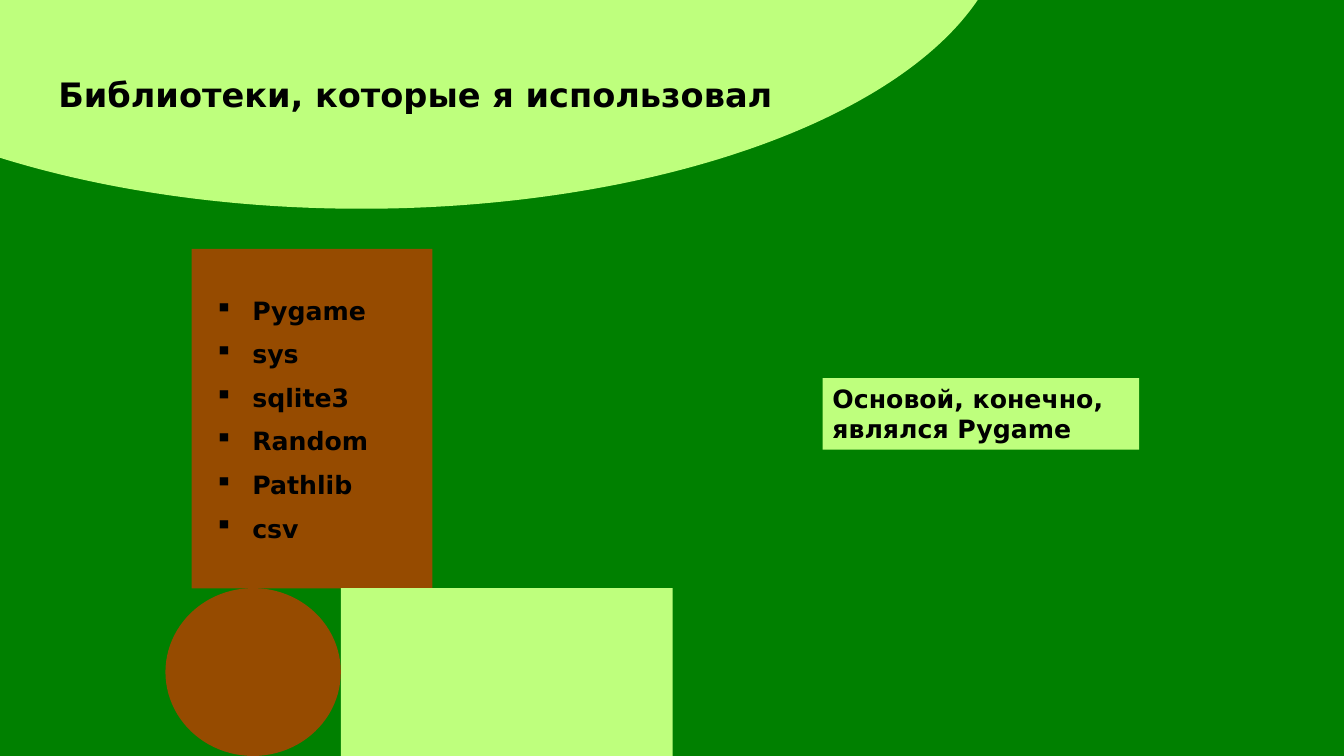
import dataclasses
import typing

import lxml.etree
import pptx
import pptx.dml.color
import pptx.enum.shapes
import pptx.enum.text
import pptx.oxml.ns
import pptx.util

Cm = pptx.util.Cm
Pt = pptx.util.Pt
MSO_SHAPE = pptx.enum.shapes.MSO_SHAPE
PP_ALIGN = pptx.enum.text.PP_ALIGN

COLORS = {"grass": "008000", "lime": "BEFF7D", "bark": "964B00", "ink": "000000"}
FONT = {"name": "DejaVu Sans", "bold": True}
PLAIN = {"alignment": PP_ALIGN.LEFT}
LIST_ITEM = {"alignment": PP_ALIGN.JUSTIFY, "line_spacing": 1.07, "space_after": Pt(8)}
INDENT = Cm(0.95)


@dataclasses.dataclass(frozen=True)
class Box:
    left: float
    top: float
    width: float
    height: float

    def lengths(self) -> list[pptx.util.Length]:
        return [Cm(v) for v in dataclasses.astuple(self)]


@dataclasses.dataclass(frozen=True)
class Block:
    box: Box
    kind: MSO_SHAPE
    color: str


@dataclasses.dataclass(frozen=True)
class Label:
    box: Box
    lines: tuple[str, ...]
    size: int
    fill: str = ""
    wrap: bool = True
    bullet: str = ""


BLOCKS = (
    Block(Box(4.83, 6.27, 6.07, 8.56), MSO_SHAPE.RECTANGLE, "bark"),
    Block(Box(-7.16, -9.73, 32.54, 14.99), MSO_SHAPE.OVAL, "lime"),
    Block(Box(8.59, 14.82, 8.36, 4.23), MSO_SHAPE.RECTANGLE, "lime"),
    Block(Box(4.17, 14.82, 4.42, 4.23), MSO_SHAPE.OVAL, "bark"),
)
LABELS = (
    Label(Box(5.16, 7.26, 5.41, 6.55),
          ("Pygame", "sys", "sqlite3", "Random", "Pathlib", "csv"), 18, bullet="▪"),
    Label(Box(1.22, 1.75, 18.69, 1.27),
          ("Библиотеки, которые я использовал",), 24, wrap=False),
    Label(Box(20.73, 9.53, 7.98, 1.8),
          ("Основой, конечно, являлся Pygame",), 18, fill="lime"),
)


def rgb(name: str) -> pptx.dml.color.RGBColor:
    return pptx.dml.color.RGBColor.from_string(COLORS[name])


def set_format(target: typing.Any, values: dict[str, typing.Any]) -> None:
    for name, value in values.items():
        setattr(target, name, value)


def paint(fill: typing.Any, color: str) -> None:
    fill.solid()
    fill.fore_color.rgb = rgb(color)


def add_block(s: typing.Any, block: Block) -> None:
    sp = s.shapes.add_shape(block.kind, *block.box.lengths())
    sp.shadow.inherit = False
    paint(sp.fill, block.color)
    sp.line.fill.background()


def add_bullet(p: typing.Any, char: str) -> None:
    pPr = p._p.get_or_add_pPr()
    pPr.set("marL", str(INDENT))
    pPr.set("indent", str(-INDENT))
    bu = lxml.etree.SubElement(pPr, pptx.oxml.ns.qn("a:buChar"))
    bu.set("char", char)


def add_label(s: typing.Any, label: Label) -> None:
    sp = s.shapes.add_textbox(*label.box.lengths())
    if label.fill:
        paint(sp.fill, label.fill)
    tf = sp.text_frame
    set_format(tf, {
        "word_wrap": label.wrap,
        "auto_size": pptx.enum.text.MSO_AUTO_SIZE.SHAPE_TO_FIT_TEXT,
        "text": "\n".join(label.lines),
    })
    for p in tf.paragraphs:
        set_format(p, LIST_ITEM if label.bullet else PLAIN)
        if label.bullet:
            add_bullet(p, label.bullet)
        for r in p.runs:
            set_format(r.font, FONT | {"size": Pt(label.size)})
            r.font.color.rgb = rgb("ink")


def main() -> None:
    prs = pptx.Presentation()
    set_format(prs, {"slide_width": Cm(33.87), "slide_height": Cm(19.05)})
    s = prs.slides.add_slide(prs.slide_layouts[6])
    paint(s.background.fill, "grass")
    for block in BLOCKS:
        add_block(s, block)
    for label in LABELS:
        add_label(s, label)
    prs.save("out.pptx")


if __name__ == "__main__":
    main()
